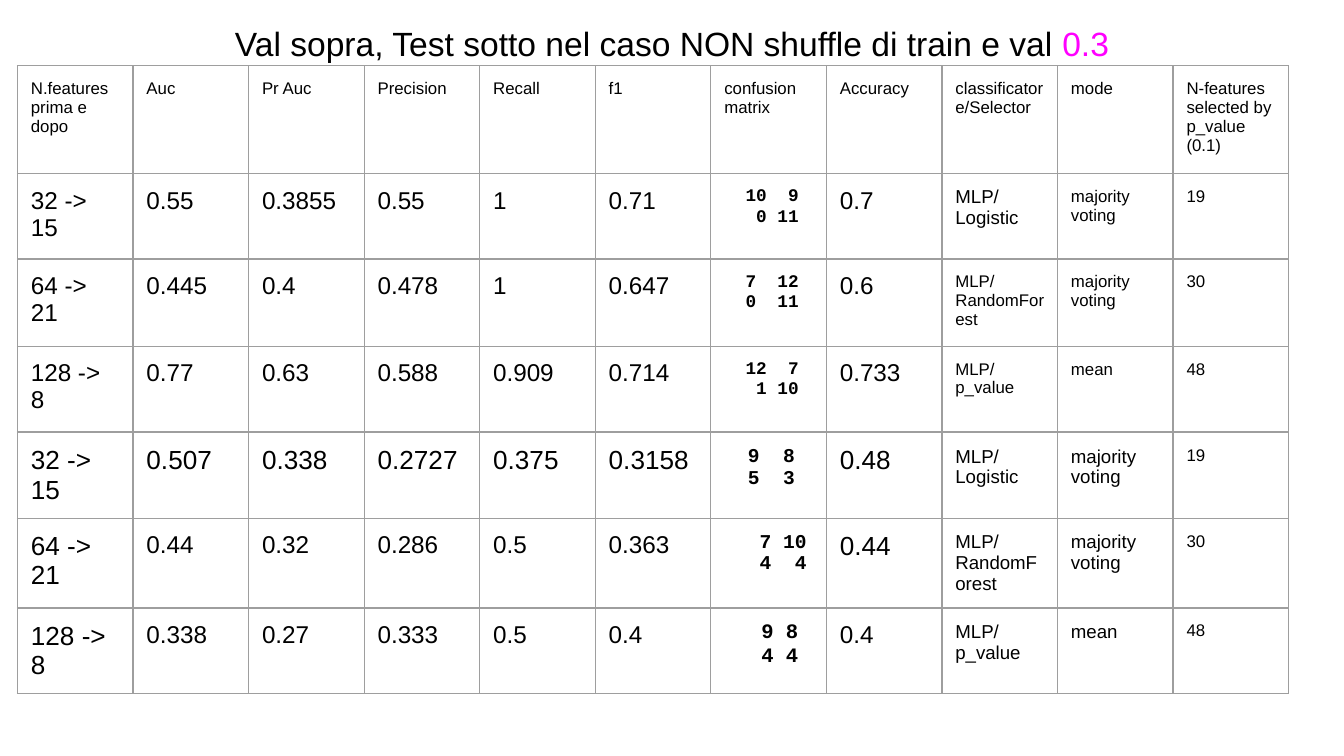
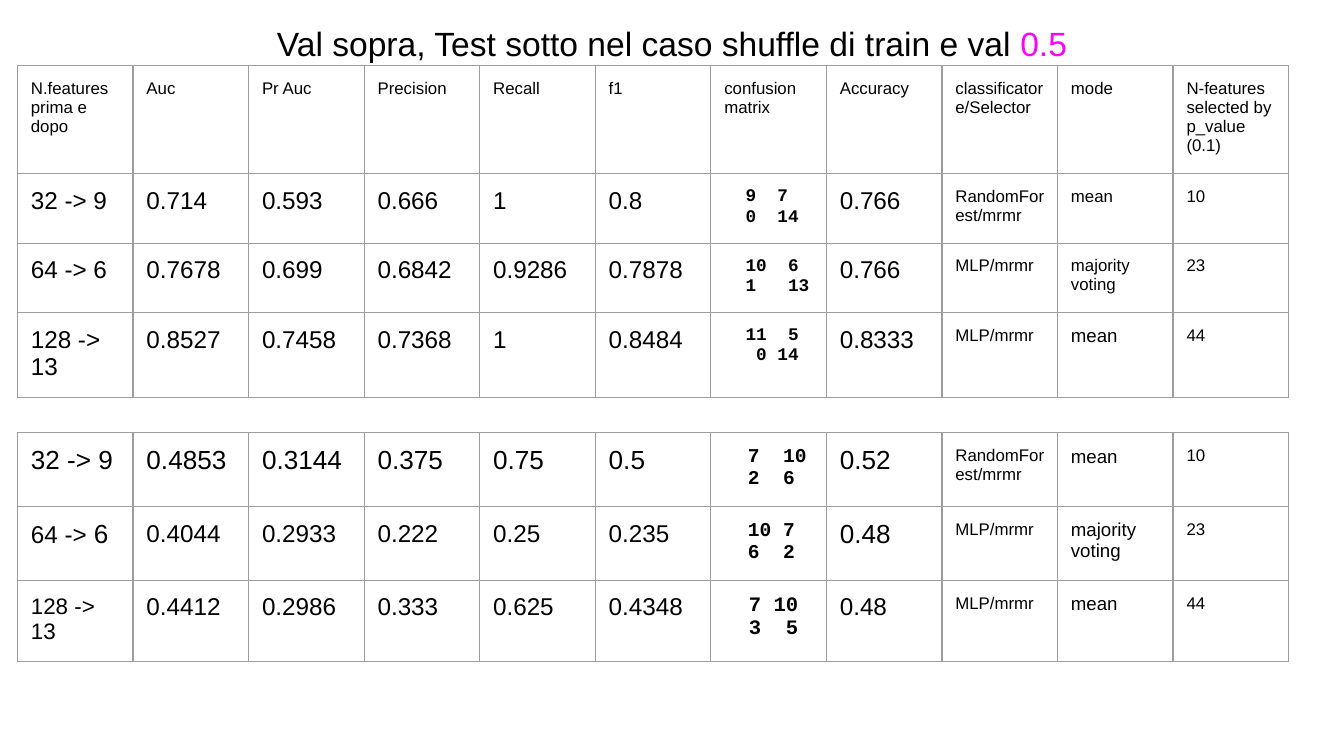
import itertools
from dataclasses import dataclass

import pptx
import pptx.dml.color
import pptx.enum.text
import pptx.oxml
import pptx.oxml.ns
import pptx.util
from pptx.util import Inches

COLOURS = {"text": "000000", "accent": "FF00FF", "border": "9E9E9E"}
SANS = "Arial"
MONO = "Courier New"
MONO_ADVANCE = 0.6  # width of one character, in ems
SMALL = 9
MARGIN = Inches(0.1)
TABLE_LEFT = Inches(0.13)
TABLE_FRAME = Inches(3.28)  # nominal frame side; columns and rows set the real extent
COLUMN_WIDTH = Inches(0.86)
BORDER_WIDTH = pptx.util.Pt(0.75)
VAL_TOP = Inches(0.49)
TEST_TOP = Inches(3.22)
HEADER_HEIGHT = Inches(0.61)
VAL_ROW_HEIGHT = Inches(0.42)
TEST_ROW_HEIGHT = Inches(0.39)

HEADERS = (
    "N.features prima e dopo", "Auc", "Pr Auc", "Precision", "Recall", "f1",
    "confusion matrix", "Accuracy", "classificatore/Selector", "mode",
    "N-features selected by p_value (0.1)",
)


@dataclass(frozen=True)
class Span:
    text: str
    size: float
    bold: bool = False
    font: str = SANS
    colour: str = "text"


@dataclass(frozen=True)
class Line:
    spans: tuple[Span, ...]
    stops: tuple[int, ...] = ()


@dataclass(frozen=True)
class Sizes:
    features: float
    metrics: float
    matrix: float
    accuracy: float
    selector: float
    mode: float


@dataclass(frozen=True)
class MatrixRow:
    """Two counts, each with the character column where it starts."""
    first: str
    second: str
    first_column: int = 2
    second_column: int = 5


@dataclass(frozen=True)
class Result:
    features: tuple[str, ...]
    metrics: str
    matrix: tuple[MatrixRow, MatrixRow]
    accuracy: str
    selector: str
    mode: str
    selected: str
    sizes: Sizes
    last_feature_size: float | None = None


@dataclass(frozen=True)
class Experiment:
    title: str
    threshold: str
    val: tuple[Result, ...]
    test: tuple[Result, ...]


VAL_SIZES = Sizes(13, 13, 9.5, 13, 9, 9)

EXPERIMENTS = (
    Experiment(
        "Val sopra, Test sotto nel caso NON shuffle di train e val ", "0.3",
        val=(
            Result(("32 -> 15",), "0.55 0.3855 0.55 1 0.71",
                   (MatrixRow("10", "9", 2, 6), MatrixRow("0", "11", 3, 5)),
                   "0.7", "MLP/Logistic", "majority voting", "19",
                   Sizes(13, 13, 9.5, 13, 10, 9)),
            Result(("64 -> 21",), "0.445 0.4 0.478 1 0.647",
                   (MatrixRow("7", "12"), MatrixRow("0", "11")),
                   "0.6", "MLP/RandomForest", "majority voting", "30", VAL_SIZES),
            Result(("128 -> 8",), "0.77 0.63 0.588 0.909 0.714",
                   (MatrixRow("12", "7", 2, 6), MatrixRow("1", "10", 3, 5)),
                   "0.733", "MLP/p_value", "mean", "48", VAL_SIZES),
        ),
        test=(
            Result(("32 -> 15",), "0.507 0.338 0.2727 0.375 0.3158",
                   (MatrixRow("9", "8"), MatrixRow("5", "3")),
                   "0.48", "MLP/Logistic", "majority voting", "19",
                   Sizes(14, 14, 10.5, 14, 10, 10)),
            Result(("64 -> 21",), "0.44 0.32 0.286 0.5 0.363",
                   (MatrixRow("7", "10", 3, 5), MatrixRow("4", "4", 3, 6)),
                   "0.44", "MLP/RandomForest", "majority voting", "30",
                   Sizes(14, 13, 10.5, 14, 10, 10)),
            Result(("128 -> 8",), "0.338 0.27 0.333 0.5 0.4",
                   (MatrixRow("9", "8", 3, 5), MatrixRow("4", "4", 3, 5)),
                   "0.4", "MLP/p_value", "mean", "48",
                   Sizes(14, 13, 11, 13, 10, 10)),
        ),
    ),
    Experiment(
        "Val sopra, Test sotto nel caso shuffle di train e val ", "0.5",
        val=(
            Result(("32 -> 9",), "0.714 0.593 0.666 1 0.8",
                   (MatrixRow("9", "7"), MatrixRow("0", "14")),
                   "0.766", "RandomForest/mrmr", "mean", "10", VAL_SIZES),
            Result(("64 -> 6",), "0.7678 0.699 0.6842 0.9286 0.7878",
                   (MatrixRow("10", "6", 2, 6), MatrixRow("1", "13", 2, 6)),
                   "0.766", "MLP/mrmr", "majority voting", "23", VAL_SIZES),
            Result(("128 -> 13",), "0.8527 0.7458 0.7368 1 0.8484",
                   (MatrixRow("11", "5", 2, 6), MatrixRow("0", "14", 3, 5)),
                   "0.8333", "MLP/mrmr", "mean", "44",
                   Sizes(13, 13, 9.5, 13, 9, 10)),
        ),
        test=(
            Result(("32 -> 9",), "0.4853 0.3144 0.375 0.75 0.5",
                   (MatrixRow("7", "10"), MatrixRow("2", "6")),
                   "0.52", "RandomForest/mrmr", "mean", "10",
                   Sizes(14, 14, 10.5, 14, 9, 10)),
            Result(("64 ->", " 6"), "0.4044 0.2933 0.222 0.25 0.235",
                   (MatrixRow("10", "7"), MatrixRow("6", "2")),
                   "0.48", "MLP/mrmr", "majority voting", "23",
                   Sizes(13, 13, 10.5, 14, 9, 10), last_feature_size=14),
            Result(("128 -> 13",), "0.4412 0.2986 0.333 0.625 0.4348",
                   (MatrixRow("7", "10", 2, 4), MatrixRow("3", "5")),
                   "0.48", "MLP/mrmr", "mean", "44",
                   Sizes(12, 13, 11, 13, 9, 10)),
        ),
    ),
)


def plain(text: str, size: float) -> list[Line]:
    return [Line((Span(text, size),))]


def matrix_line(row: MatrixRow, size: float) -> Line:
    span = Span(f"\t{row.first}\t{row.second}", size, bold=True, font=MONO)
    return Line((span,), (row.first_column, row.second_column))


def result_cells(result: Result) -> list[list[Line]]:
    sizes = result.sizes
    feature_sizes = [sizes.features] * len(result.features)
    if result.last_feature_size:
        feature_sizes[-1] = result.last_feature_size
    features = Line(tuple(map(Span, result.features, feature_sizes)))
    return [
        [features],
        *(plain(metric, sizes.metrics) for metric in result.metrics.split()),
        [matrix_line(row, sizes.matrix) for row in result.matrix],
        plain(result.accuracy, sizes.accuracy),
        plain(result.selector, sizes.selector),
        plain(result.mode, sizes.mode),
        plain(result.selected, SMALL),
    ]


def add_tab_stops(para, stops: tuple[int, ...], size: float) -> None:
    """Put left tab stops at the given monospaced character columns."""
    properties = para._p.get_or_add_pPr()
    tabs = pptx.oxml.parse_xml(f"<a:tabLst {pptx.oxml.ns.nsdecls('a')}/>")
    for stop in stops:
        tab = tabs.makeelement(pptx.oxml.ns.qn("a:tab"))
        tab.set("pos", str(pptx.util.Pt(stop * size * MONO_ADVANCE)))
        tab.set("algn", "l")
        tabs.append(tab)
    properties.append(tabs)


def write_lines(frame, lines: list[Line]) -> None:
    for index, line in enumerate(lines):
        para = frame.add_paragraph() if index else frame.paragraphs[0]
        if line.stops:
            add_tab_stops(para, line.stops, line.spans[0].size)
        para.line_spacing = 1.0
        for span in line.spans:
            run = para.add_run()
            run.text = span.text
            run.font.size = pptx.util.Pt(span.size)
            run.font.name = span.font
            run.font.bold = span.bold
            run.font.color.rgb = pptx.dml.color.RGBColor.from_string(COLOURS[span.colour])


def set_margins(target) -> None:
    target.margin_left = target.margin_right = MARGIN
    target.margin_top = target.margin_bottom = MARGIN


def add_borders(cell) -> None:
    properties = cell._tc.get_or_add_tcPr()
    for index, side in enumerate("LRTB"):
        properties.insert(index, pptx.oxml.parse_xml(
            f'<a:ln{side} {pptx.oxml.ns.nsdecls("a")} w="{BORDER_WIDTH}">'
            f'<a:solidFill><a:srgbClr val="{COLOURS["border"]}"/></a:solidFill>'
            f'<a:prstDash val="solid"/></a:ln{side}>'))


def add_results_table(page, top: int, rows: list[list[list[Line]]], heights: list[int]) -> None:
    holder = page.shapes.add_table(len(rows), len(HEADERS), TABLE_LEFT, top,
                                   TABLE_FRAME, TABLE_FRAME)
    table = holder.table
    table.first_row = table.horz_banding = False
    for column in table.columns:
        column.width = COLUMN_WIDTH
    for row, height in zip(table.rows, heights):
        row.height = height
    holder.width = holder.height = TABLE_FRAME
    for cell, lines in zip(table.iter_cells(), itertools.chain.from_iterable(rows)):
        set_margins(cell)
        cell.fill.background()
        add_borders(cell)
        write_lines(cell.text_frame, lines)


def add_title(page, experiment: Experiment) -> None:
    box = page.shapes.add_textbox(Inches(0.1), Inches(0.07), Inches(9.8), Inches(0.64))
    frame = box.text_frame
    frame.word_wrap = True
    set_margins(frame)
    write_lines(frame, [Line((Span(experiment.title, 18),
                              Span(experiment.threshold, 18, colour="accent")))])
    frame.paragraphs[0].alignment = pptx.enum.text.PP_ALIGN.CENTER


def add_experiment(deck, experiment: Experiment) -> None:
    page = deck.slides.add_slide(deck.slide_layouts[6])
    test_rows = [result_cells(result) for result in experiment.test]
    add_results_table(page, TEST_TOP, test_rows, [TEST_ROW_HEIGHT] * len(test_rows))
    add_title(page, experiment)
    val_rows = [result_cells(result) for result in experiment.val]
    header = [plain(label, SMALL) for label in HEADERS]
    add_results_table(page, VAL_TOP, [header, *val_rows],
                      [HEADER_HEIGHT] + [VAL_ROW_HEIGHT] * len(val_rows))


def main() -> None:
    deck = pptx.Presentation()
    deck.slide_width = Inches(10)
    deck.slide_height = deck.slide_width * 9 // 16
    for experiment in EXPERIMENTS:
        add_experiment(deck, experiment)
    deck.save("out.pptx")


if __name__ == "__main__":
    main()
